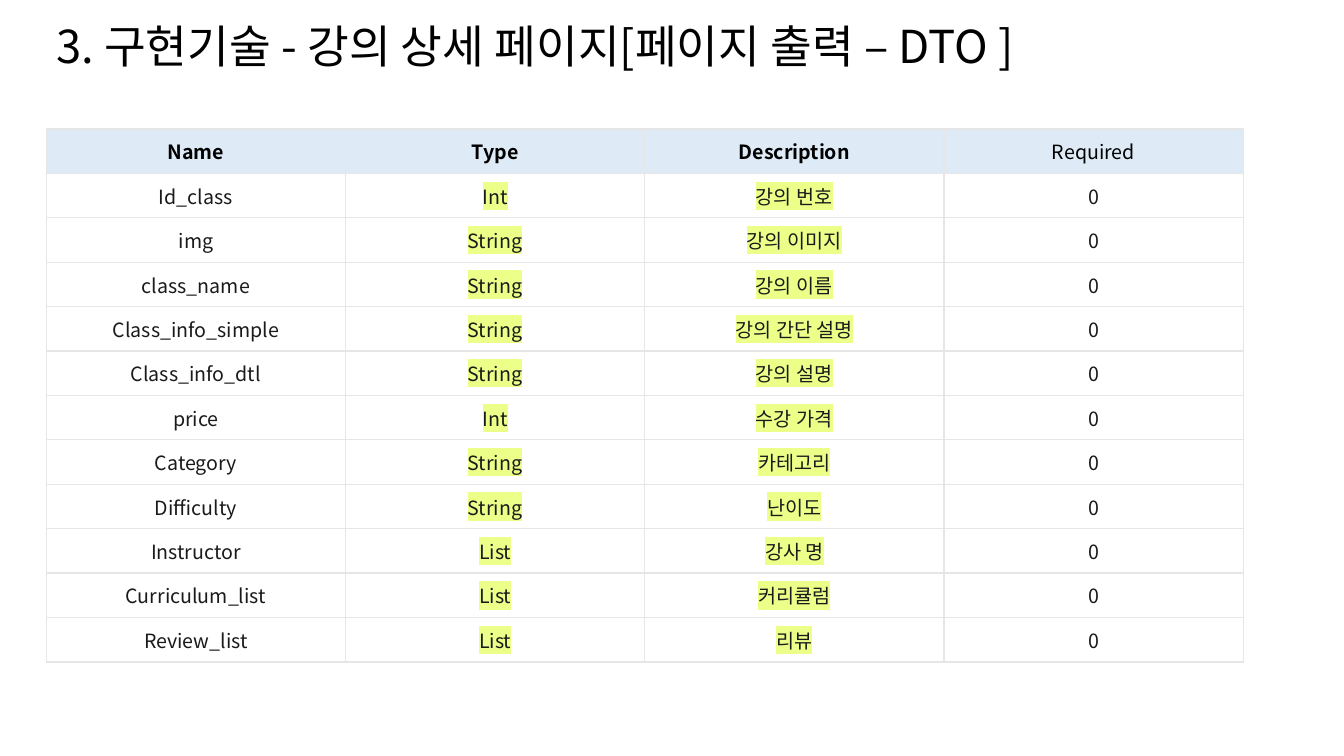
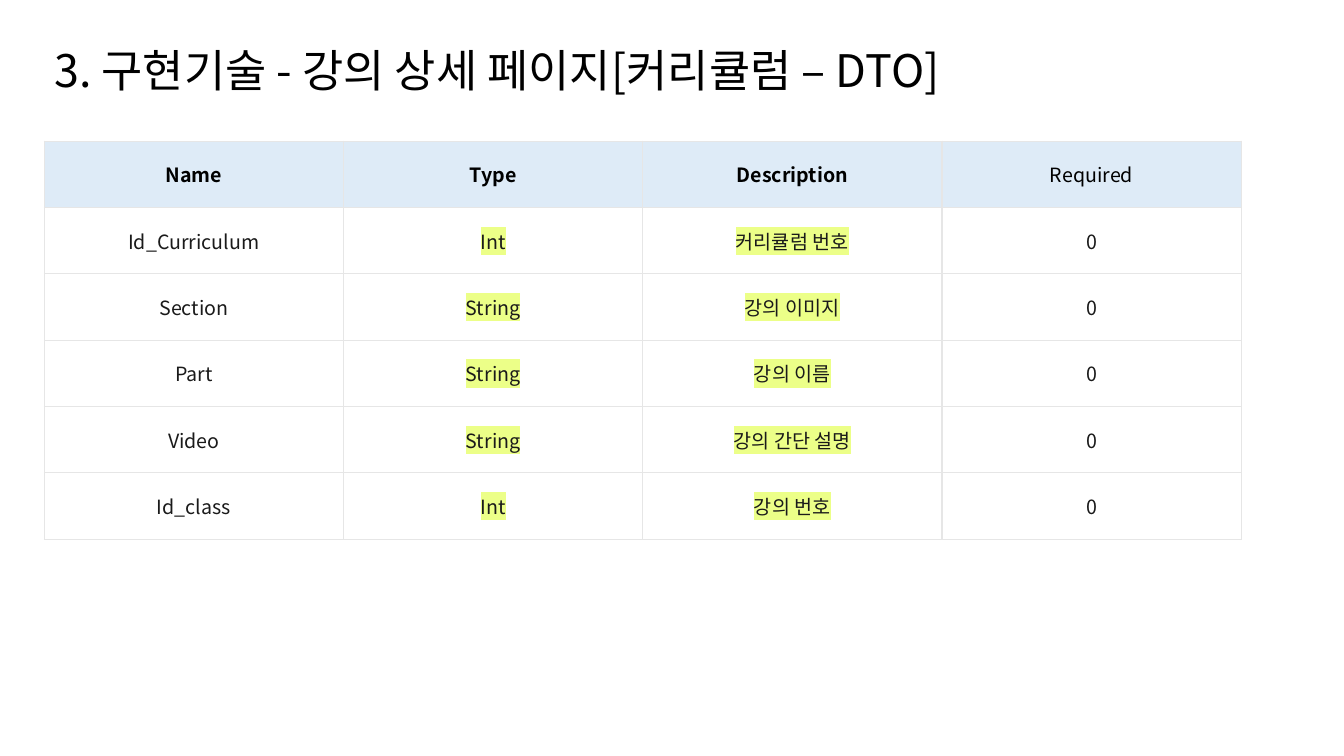
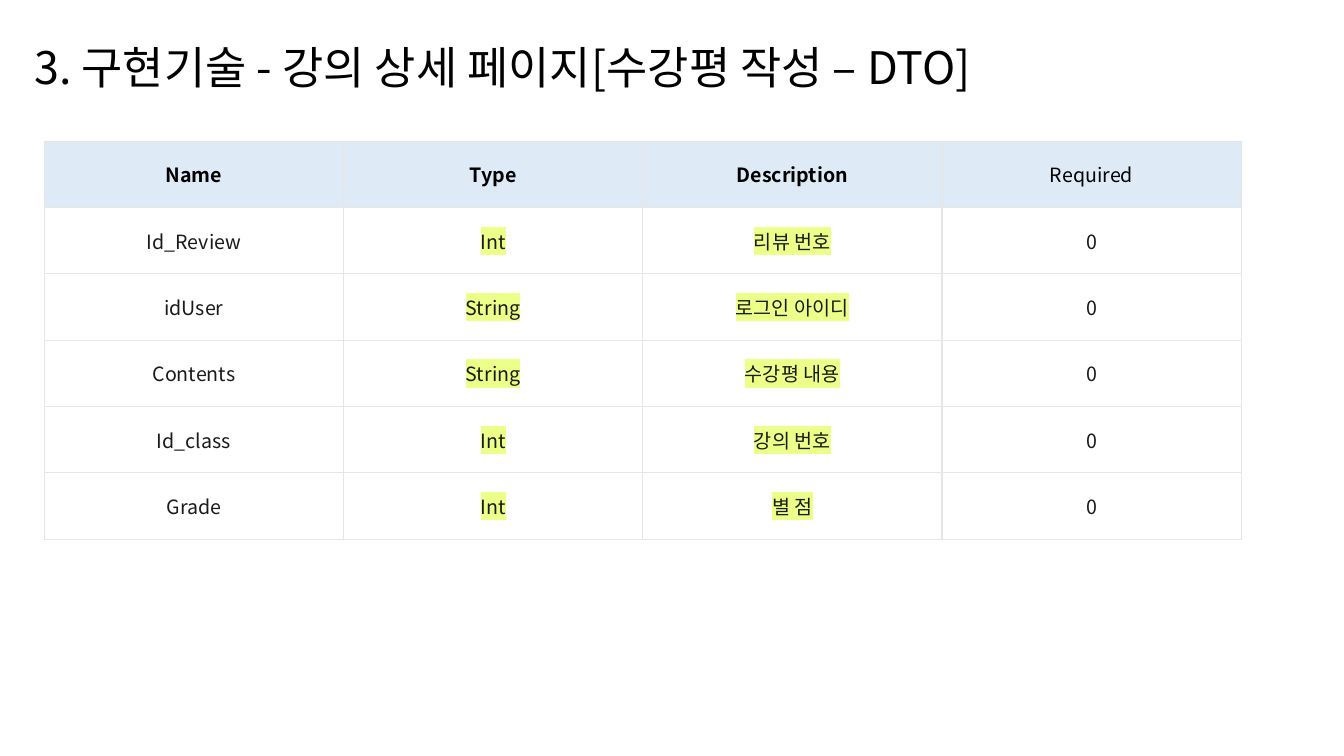
from lxml import etree
from pptx import Presentation
from pptx import util as u
from pptx.dml.color import RGBColor
from pptx.enum import text as t
from pptx.oxml.ns import qn

PX = 9144  # EMU in one px, 100 px to the inch
FONT = "Noto Sans CJK KR"
BLACK = RGBColor(0x00, 0x00, 0x00)
INK = RGBColor(0x1A, 0x1A, 0x1A)
HEADER_BLUE = RGBColor(0xDE, 0xEB, 0xF7)
HIGHLIGHT = RGBColor(0xEC, 0xFF, 0x88)
RULE_GREY = RGBColor(0xE6, 0xE6, 0xE6)

HEADINGS = ("Name", "Type", "Description", "Required")
MARKED_COLUMNS = (1, 2)
REQUIRED = "0"

PAGES = [
    {
        "title": "페이지 출력 – DTO ",
        "title_box": (46, 8, 1095, 80),
        "title_size": 32.4,
        "table_box": (46, 128, 1187, 529),
        "fields": [
            ("Id_class", "Int", "강의 번호"),
            ("img", "String", "강의 이미지"),
            ("class_name", "String", "강의 이름"),
            ("Class_info_simple", "String", "강의 간단 설명"),
            ("Class_info_dtl", "String", "강의 설명"),
            ("price", "Int", "수강 가격"),
            ("Category", "String", "카테고리"),
            ("Difficulty", "String", "난이도"),
            ("Instructor", "List", "강사 명"),
            ("Curriculum_list", "List", "커리큘럼"),
            ("Review_list", "List", "리뷰"),
        ],
    },
    {
        "title": "커리큘럼 – DTO",
        "title_box": (44, 28, 1267, 88),
        "title_size": 32,
        "table_box": (44, 140, 1187, 395),
        "fields": [
            ("Id_Curriculum", "Int", "커리큘럼 번호"),
            ("Section", "String", "강의 이미지"),
            ("Part", "String", "강의 이름"),
            ("Video", "String", "강의 간단 설명"),
            ("Id_class", "Int", "강의 번호"),
        ],
    },
    {
        "title": "수강평 작성 – DTO",
        "title_box": (24, 16, 1222, 106),
        "title_size": 32,
        "table_box": (44, 140, 1187, 395),
        "fields": [
            ("Id_Review", "Int", "리뷰 번호"),
            ("idUser", "String", "로그인 아이디"),
            ("Contents", "String", "수강평 내용"),
            ("Id_class", "Int", "강의 번호"),
            ("Grade", "Int", "별 점"),
        ],
    },
]


def emu(box):
    return [length * PX for length in box]


def add_colour(parent, colour):
    etree.SubElement(parent, qn("a:srgbClr"), val=str(colour))


def write(frame, words, size=14, colour=INK, bold=False, align=None,
          spacing=None, highlight=None):
    paragraph = frame.paragraphs[0]
    paragraph.alignment = align
    paragraph.line_spacing = spacing
    run = paragraph.add_run()
    run.text = words
    font = run.font
    font.size = u.Pt(size)
    font.bold = bold
    font.color.rgb = colour
    font.name = FONT
    props = run._r.get_or_add_rPr()
    latin = props.find(qn("a:latin"))
    east_asian = etree.Element(qn("a:ea"), typeface=FONT)
    latin.addnext(east_asian)
    if highlight is not None:
        marker = etree.Element(qn("a:highlight"))
        add_colour(marker, highlight)
        latin.addprevious(marker)


def set_borders(cell):
    props = cell._tc.get_or_add_tcPr()
    for place, side in enumerate(("a:lnL", "a:lnR", "a:lnT", "a:lnB")):
        border = etree.Element(qn(side), w=str(u.Pt(1)))
        add_colour(etree.SubElement(border, qn("a:solidFill")), RULE_GREY)
        props.insert(place, border)


def add_title(slide, box, topic, size):
    title = slide.shapes.add_textbox(*emu(box)).text_frame
    title.word_wrap = True
    title.vertical_anchor = t.MSO_ANCHOR.MIDDLE
    write(title, f"3. 구현기술 - 강의 상세 페이지[{topic}]",
          size=size, colour=BLACK, spacing=0.9)


def add_field_table(slide, box, fields):
    rows = [HEADINGS] + [(*field, REQUIRED) for field in fields]
    table = slide.shapes.add_table(len(rows), len(HEADINGS), *emu(box)).table
    table.horz_banding = False
    for r, row in enumerate(rows):
        is_header = r == 0
        for c, words in enumerate(row):
            cell = table.cell(r, c)
            cell.vertical_anchor = t.MSO_ANCHOR.MIDDLE
            if is_header:
                cell.fill.solid()
                cell.fill.fore_color.rgb = HEADER_BLUE
            else:
                cell.fill.background()
            set_borders(cell)
            marked = not is_header and c in MARKED_COLUMNS
            write(cell.text_frame, words, align=t.PP_ALIGN.CENTER,
                  colour=BLACK if is_header else INK,
                  bold=is_header and words != "Required",
                  highlight=HIGHLIGHT if marked else None)


def main():
    deck = Presentation()
    deck.slide_width, deck.slide_height = emu((1333, 750))
    for page in PAGES:
        slide = deck.slides.add_slide(deck.slide_layouts[6])
        add_title(slide, page["title_box"], page["title"], page["title_size"])
        add_field_table(slide, page["table_box"], page["fields"])
    deck.save("out.pptx")


if __name__ == "__main__":
    main()
